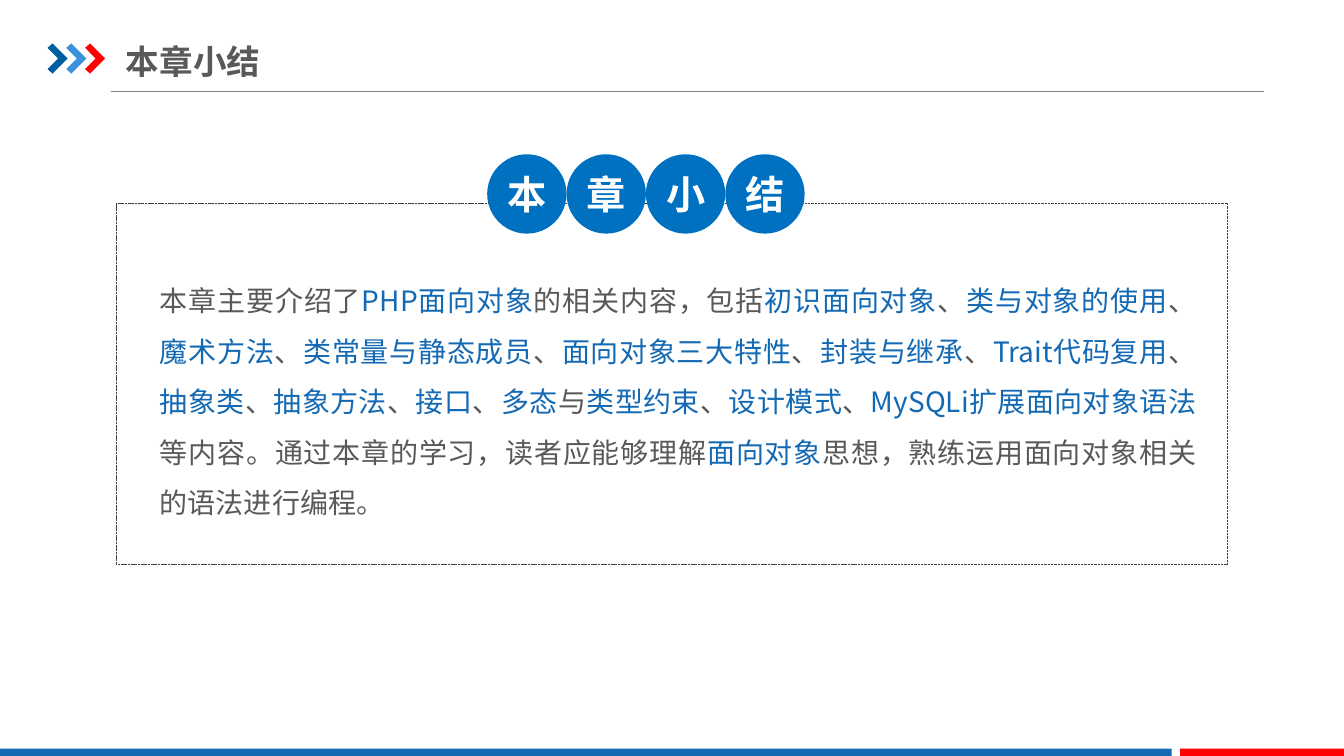
from lxml.etree import SubElement
from pptx import Presentation
from pptx.dml.color import RGBColor as RGB
from pptx.enum.dml import MSO_LINE as Dash
from pptx.enum.shapes import MSO_CONNECTOR as Link, MSO_SHAPE as Shape
from pptx.enum.text import MSO_ANCHOR as Anchor, PP_ALIGN as Align
from pptx.oxml.ns import qn
from pptx.util import Pt

THEME = {
    "font": "Noto Sans CJK SC",
    "title_size": Pt(24),
    "badge_size": Pt(28),
    "body_size": Pt(20),
    "text": RGB.from_string("595959"),
    "keyword": RGB.from_string("1369B3"),
    "badge": RGB.from_string("0070C0"),
    "badge_text": RGB.from_string("FFFFFF"),
    "rule": RGB.from_string("808080"),
    "frame": RGB.from_string("404040"),
    "footer": RGB.from_string("1369B2"),
    "accent": RGB.from_string("FF0000"),
    "chevrons": [RGB.from_string(c) for c in ("005DA2", "3992DB", "FF0000")],
}


def add_run(paragraph, text, size, color, bold=False):
    run = paragraph.add_run()
    run.text = text
    for name, value in {"name": THEME["font"], "size": size, "bold": bold}.items():
        setattr(run.font, name, value)
    run.font.color.rgb = color
    SubElement(run.font._element, qn("a:ea"), typeface=THEME["font"])


def paint(shape, color):
    shape.shadow.inherit = False
    shape.fill.solid()
    shape.fill.fore_color.rgb = color
    shape.line.fill.background()


deck = Presentation()
deck.slide_width, deck.slide_height = Pt(960), Pt(540)
slide = deck.slides.add_slide(deck.slide_layouts[6])
shapes = slide.shapes

rule = shapes.add_connector(Link.STRAIGHT, Pt(79.2), Pt(65.3), Pt(903), Pt(65.3))
rule.line.color.rgb = THEME["rule"]
rule.line.width = Pt(0.75)
SubElement(rule._element.spPr, qn("a:effectLst"))

CHEVRON = [(0, 3.2), (3.6, 0), (14.4, 10.8), (3.6, 21.6), (0, 18.4), (7.6, 10.8)]
for index, color in enumerate(THEME["chevrons"]):
    left = 34 + 13.4 * index
    corners = [(Pt(left + x), Pt(31 + y)) for x, y in CHEVRON]
    outline = shapes.build_freeform(*corners[0])
    outline.add_line_segments(corners[1:], close=True)
    paint(outline.convert_to_shape(), color)

for left, width, color in [(0, 837, "footer"), (843, 117, "accent")]:
    footer = shapes.add_shape(Shape.RECTANGLE, Pt(left), Pt(534.8), Pt(width), Pt(5.2))
    paint(footer, THEME[color])

title = shapes.add_textbox(Pt(90), Pt(26), Pt(378.5), Pt(34.5)).text_frame
title_format = {
    "word_wrap": True, "vertical_anchor": Anchor.MIDDLE,
    "margin_left": 0, "margin_right": 0, "margin_top": Pt(5), "margin_bottom": Pt(5),
}
for name, value in title_format.items():
    setattr(title, name, value)
add_run(title.paragraphs[0], "本章小结", THEME["title_size"], THEME["text"], True)

frame = shapes.add_shape(Shape.ROUNDED_RECTANGLE, Pt(83), Pt(145.4), Pt(793.5), Pt(257.8))
frame.adjustments[0] = 0
frame.shadow.inherit = False
frame.fill.background()
frame.line.color.rgb = THEME["frame"]
for name, value in {"width": Pt(0.25), "dash_style": Dash.SQUARE_DOT}.items():
    setattr(frame.line, name, value)

SUMMARY = (
    "本章主要介绍了|PHP面向对象|的相关内容，包括|初识面向对象|、|类与对象的使用|、|"
    "魔术方法|、|类常量与静态成员|、|面向对象三大特性|、|封装与继承|、|Trait代码复用|、|"
    "抽象类|、|抽象方法|、|接口|、|多态|与|类型约束|、|设计模式|、|"
    "MySQLi扩展面向对象语法|等内容。通过本章的学习，读者应能够理解|面向对象|"
    "思想，熟练运用面向对象相关的语法进行编程。"
)
summary = shapes.add_textbox(Pt(114.2), Pt(190.8), Pt(740.2), Pt(181.4)).text_frame
summary_format = {
    "word_wrap": True, "margin_left": 0, "margin_right": 0, "margin_top": 0, "margin_bottom": 0,
}
for name, value in summary_format.items():
    setattr(summary, name, value)
sentence = summary.paragraphs[0]
for name, value in {"alignment": Align.JUSTIFY, "line_spacing": Pt(36)}.items():
    setattr(sentence, name, value)
for index, phrase in enumerate(SUMMARY.split("|")):
    add_run(sentence, phrase, THEME["body_size"], THEME["keyword" if index % 2 else "text"])

BADGE = 56.7
badge_format = {
    "word_wrap": False, "vertical_anchor": Anchor.MIDDLE,
    "margin_left": 0, "margin_right": 0, "margin_top": 0, "margin_bottom": 0,
}
for index, character in enumerate("本章小结"):
    badge = shapes.add_shape(
        Shape.OVAL, Pt(348 + BADGE * index), Pt(110.2), Pt(BADGE), Pt(BADGE))
    paint(badge, THEME["badge"])
    for name, value in badge_format.items():
        setattr(badge.text_frame, name, value)
    label = badge.text_frame.paragraphs[0]
    label.alignment = Align.CENTER
    add_run(label, character, THEME["badge_size"], THEME["badge_text"], True)

deck.save("out.pptx")
